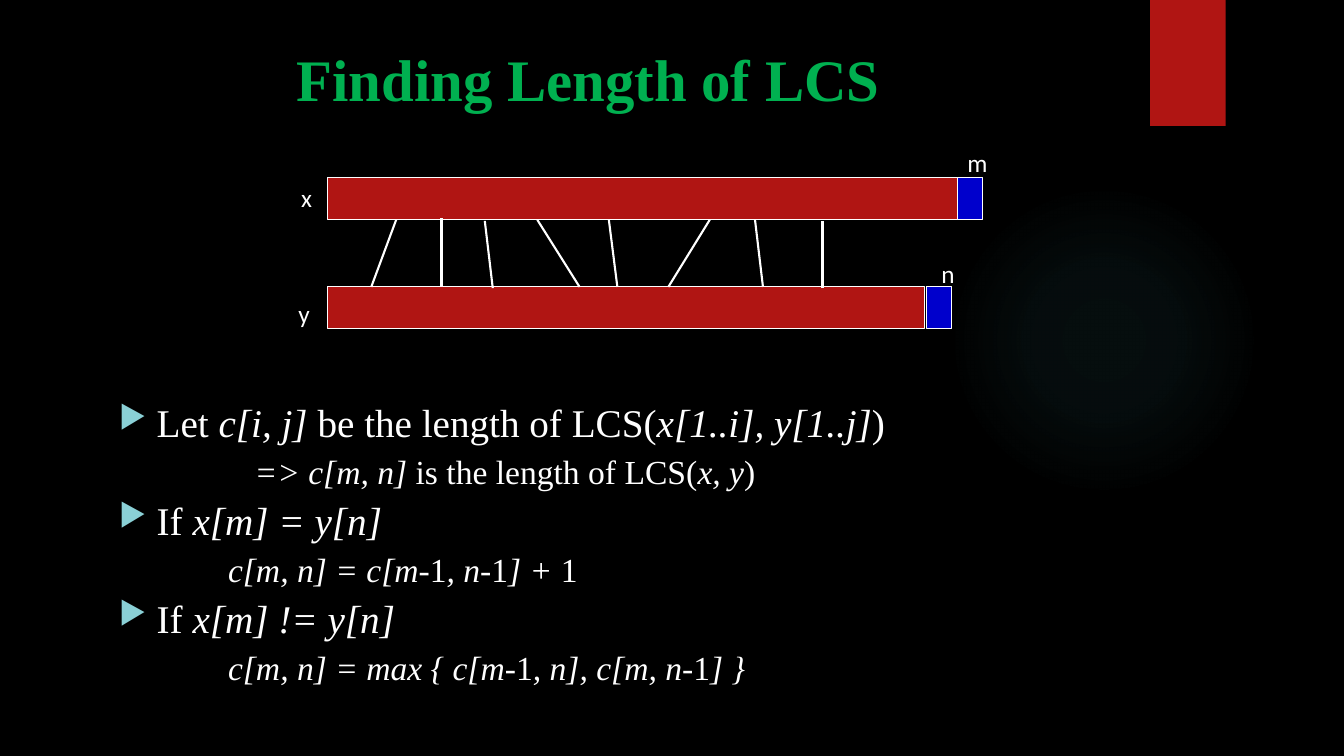
"""Build the slide on finding the length of a longest common subsequence."""
from dataclasses import dataclass

from lxml.etree import SubElement
from pptx import Presentation
from pptx.dml.color import RGBColor as Rgb
from pptx.enum.shapes import MSO_CONNECTOR as Connector, MSO_SHAPE as Preset
from pptx.enum.text import MSO_ANCHOR as Anchor, PP_ALIGN as Align
from pptx.oxml import parse_xml
from pptx.oxml.ns import nsdecls, qn
from pptx.shapes.autoshape import Shape
from pptx.slide import Slide
from pptx.text.text import TextFrame
from pptx.util import Pt


@dataclass(frozen=True)
class Theme:
    background: str = "000000"
    text: str = "FFFFFF"
    title: str = "00B050"
    red: str = "B01513"
    blue: str = "0000CC"
    bullet: str = "8AD0D6"
    glow: str = "50B9C1"
    serif: str = "Times New Roman"
    sans: str = "Calibri"
    title_size: float = 42
    point_size: float = 28
    formula_size: float = 24
    label_size: float = 18


@dataclass(frozen=True)
class Block:
    left: float
    top: float
    width: float
    height: float
    color: str
    outlined: bool = True


@dataclass(frozen=True)
class Label:
    text: str
    left: float
    top: float
    width: float


@dataclass(frozen=True)
class Match:
    x_end: float
    y_end: float
    shift: float = 0


@dataclass(frozen=True)
class Line:
    text: str
    indent: float = 0


THEME = Theme()
BAR_LEFT, BAR_HEIGHT = 234, 30.2
X_TOP, Y_TOP = 126.7, 204.5
MATCH_TOP, MATCH_BOTTOM = 157, 205
HANGING = 27

BLOCKS = [
    Block(821.5, 0, 54, 90, THEME.red, outlined=False),
    Block(BAR_LEFT, X_TOP, 450, BAR_HEIGHT, THEME.red),
    Block(BAR_LEFT, Y_TOP, 426.5, BAR_HEIGHT, THEME.red),
    Block(684, X_TOP, 18, BAR_HEIGHT, THEME.blue),
    Block(661.7, Y_TOP, 18, BAR_HEIGHT, THEME.blue),
]
LABELS = [
    Label("x", 208, 126.7, 22),
    Label("y", 206, 209.5, 24),
    Label("m", 684, 101.5, 30),
    Label("n", 665.3, 180.7, 24),
]
MATCHES = [
    Match(283, 265.2),
    Match(315.4, 315.4, -1),
    Match(346.3, 352, 0.8),
    Match(383.8, 414),
    Match(434.9, 441),
    Match(507, 477.4),
    Match(539.3, 545),
    Match(587.5, 587.5, 1),
]
LINES = [
    Line("Let *c[i, j]* be the length of LCS(*x[1..i], y[1..j]*)"),
    Line("*=> c[m, n]* is the length of LCS(*x, y*)", 97),
    Line("If *x[m] = y[n]*"),
    Line("*c[m, n] = c[m-*1*, n-*1*] + *1", 78),
    Line("If *x[m] != y[n]*"),
    Line("*c[m, n] = max { c[m-*1*, n], c[m, n-*1*] }*", 78),
]


def write(frame: TextFrame, text: str, *, size: float, font: str, color: str = THEME.text,
          bold: bool = False, align: Align = Align.LEFT, indent: float = 0,
          bullet: bool = False, line_spacing: float = 1, space_before: float = 0,
          new: bool = False) -> None:
    """Write one paragraph, with asterisks around its italic spans."""
    para = frame.add_paragraph() if new else frame.paragraphs[0]
    properties = para._p.get_or_add_pPr()
    properties.set("marL", str(Pt(HANGING if bullet else indent)))
    properties.set("indent", str(Pt(-HANGING if bullet else 0)))
    if bullet:
        tint = SubElement(properties, qn("a:buClr"))
        SubElement(tint, qn("a:srgbClr"), val=THEME.bullet)
        SubElement(properties, qn("a:buSzPct"), val="80000")
        SubElement(properties, qn("a:buChar"), char="▶")
    else:
        SubElement(properties, qn("a:buNone"))
    para.alignment = align
    para.line_spacing = line_spacing
    para.space_before = Pt(space_before)
    for index, part in enumerate(text.split("*")):
        if part:
            span = para.add_run()
            span.text = part
            span.font.size, span.font.name = Pt(size), font
            span.font.bold, span.font.italic = bold, index % 2 == 1
            span.font.color.rgb = Rgb.from_string(color)


def draw_glow(page: Slide) -> None:
    """Draw the faint round glow."""
    glow = page.shapes.add_shape(Preset.OVAL, Pt(677.5), Pt(131.8), Pt(221.8), Pt(221.8))
    glow.shadow.inherit = False
    glow.line.fill.background()
    stops = "".join(
        f'<a:gs pos="{place * 1000}"><a:srgbClr val="{THEME.glow}">'
        f'<a:alpha val="{alpha * 1000}"/></a:srgbClr></a:gs>'
        for place, alpha in ((0, 7), (36, 6), (69, 0), (100, 0)))
    gradient = parse_xml(
        f'<a:gradFill {nsdecls("a")}><a:gsLst>{stops}</a:gsLst><a:path path="circle">'
        '<a:fillToRect l="50000" t="50000" r="50000" b="50000"/></a:path></a:gradFill>')
    glow._element.spPr.find(qn("a:prstGeom")).addnext(gradient)


def draw_block(page: Slide, block: Block) -> None:
    """Draw a filled rectangle."""
    shape = page.shapes.add_shape(Preset.RECTANGLE, Pt(block.left), Pt(block.top),
                                  Pt(block.width), Pt(block.height))
    shape.shadow.inherit = False
    shape.fill.solid()
    shape.fill.fore_color.rgb = Rgb.from_string(block.color)
    if block.outlined:
        shape.line.color.rgb = Rgb.from_string(THEME.text)
        shape.line.width = Pt(0.75)
    else:
        shape.line.fill.background()


def draw_label(page: Slide, label: Label) -> None:
    """Draw the name of a sequence or of its length."""
    box = page.shapes.add_textbox(Pt(label.left), Pt(label.top), Pt(label.width), Pt(29))
    write(box.text_frame, label.text, size=THEME.label_size, font=THEME.sans)


def draw_match(page: Slide, match: Match) -> None:
    """Join matching places of the two sequences."""
    line = page.shapes.add_connector(
        Connector.STRAIGHT, Pt(match.x_end), Pt(MATCH_TOP + match.shift),
        Pt(match.y_end), Pt(MATCH_BOTTOM + match.shift))
    line.line.color.rgb = Rgb.from_string(THEME.text)
    line.line.width = Pt(1.5)
    SubElement(line._element.spPr, qn("a:effectLst"))


def draw_title(title: Shape) -> None:
    """Place and format the title."""
    title.left, title.top, title.width, title.height = Pt(49), Pt(25.2), Pt(742.3), Pt(60.5)
    title.text_frame.vertical_anchor = Anchor.MIDDLE
    write(title.text_frame, "Finding Length of LCS", size=THEME.title_size, font=THEME.serif,
          color=THEME.title, bold=True, align=Align.CENTER)


def draw_lines(page: Slide) -> None:
    """Write the points and the formula below each."""
    box = page.shapes.add_textbox(Pt(77.8), Pt(287.3), Pt(738.7), Pt(222.5))
    box.text_frame.word_wrap = True
    for index, line in enumerate(LINES):
        write(box.text_frame, line.text, font=THEME.serif, indent=line.indent,
              size=THEME.formula_size if line.indent else THEME.point_size,
              bullet=not line.indent, line_spacing=0.8,
              space_before=10 if index else 0, new=index > 0)


def main() -> None:
    """Build and save the deck."""
    deck = Presentation()
    deck.slide_width, deck.slide_height = Pt(960), Pt(540)
    page = deck.slides.add_slide(deck.slide_layouts[5])
    page.background.fill.solid()
    page.background.fill.fore_color.rgb = Rgb.from_string(THEME.background)
    draw_glow(page)
    draw_title(page.shapes.title)
    for block in BLOCKS:
        draw_block(page, block)
    for label in LABELS:
        draw_label(page, label)
    for match in MATCHES:
        draw_match(page, match)
    draw_lines(page)
    deck.save("out.pptx")


if __name__ == "__main__":
    main()
